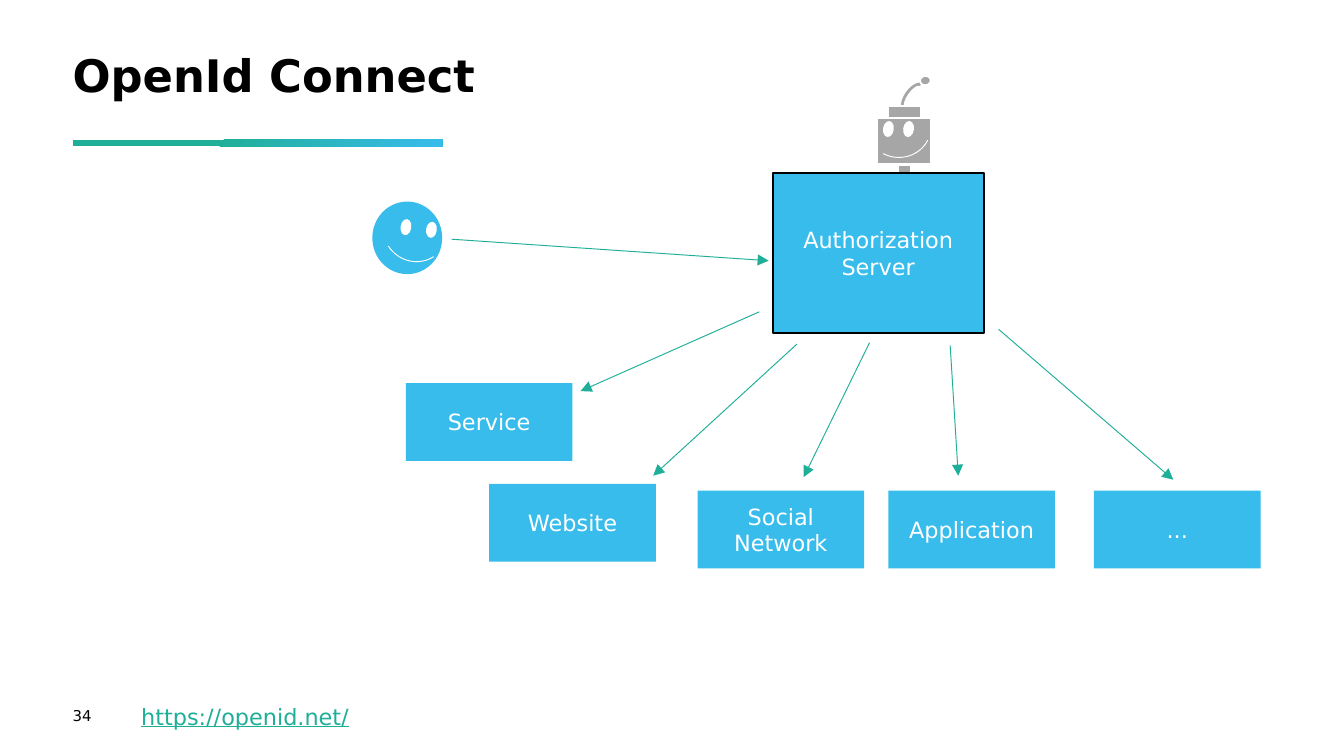
from lxml import etree
from pptx import Presentation
from pptx.dml.color import RGBColor
from pptx.enum.shapes import MSO_CONNECTOR, MSO_SHAPE
from pptx.enum.text import MSO_ANCHOR, PP_ALIGN
from pptx.oxml.ns import qn
from pptx.util import Inches, Pt

FONT = "DejaVu Sans"
COLORS = {
    "blue": "37BCEC", "green": "1FAF98", "gray": "A6A6A6",
    "black": "000000", "white": "FFFFFF",
}

# text, (left, top, width, height), size, color, bold, underline, anchor
TEXTS = [
    ("OpenId Connect", (0.54, 0.4, 8.9, 0.36), 24, "black", True, False, MSO_ANCHOR.TOP),
    ("34", (0.54, 5.26, 2.39, 0.13), 8, "black", False, False, MSO_ANCHOR.MIDDLE),
    ("https://openid.net/", (1.05, 5.23, 7.69, 0.2), 12, "green", False, True, MSO_ANCHOR.TOP),
]

# preset, (left, top, width, height), rotation, fill, (line color, width)
OVAL, ARC, RECT = MSO_SHAPE.OVAL, MSO_SHAPE.ARC, MSO_SHAPE.RECTANGLE
EYE = (0.12, 0.08)
SMILE = (0.48, 0.5)
THIN, EDGE = ("white", 0.5), ("white", 1)
USER = [
    (OVAL, (2.77, 1.5, 0.52, 0.54), 0, "blue", None),
    (ARC, (2.85, 1.45, *SMILE), 147, None, THIN),
    (OVAL, (3.15, 1.67, *EYE), 98, "white", None),
    (OVAL, (2.96, 1.65, *EYE), 98, "white", None),
]
ROBOT = [
    (RECT, (6.53, 0.88, 0.4, 0.34), 0, "gray", EDGE),
    (RECT, (6.68, 1.23, 0.1, 0.1), 0, "gray", EDGE),
    (ARC, (6.44, 0.68, *SMILE), 117, None, THIN),
    (OVAL, (6.55, 0.92, *EYE), 98, "white", None),
    (OVAL, (6.7, 0.92, *EYE), 98, "white", None),
    (MSO_SHAPE.BLOCK_ARC, (6.66, 0.65, 0.27, 0.15), 305, "gray", EDGE),
    (RECT, (6.61, 0.79, 0.24, 0.09), 0, "gray", EDGE),
    (OVAL, (6.85, 0.56, 0.07, 0.08), 81, "gray", EDGE),
]

SERVER = ("Authorization Server", (5.75, 1.29, 1.57, 1.19))
CLIENT_SIZE = (1.24, 0.58)
CLIENTS = [
    ("Service", (3.02, 2.85)),
    ("Social Network", (5.19, 3.65)),
    ("Website", (3.64, 3.6)),
    ("Application", (6.61, 3.65)),
    ("...", (8.14, 3.65)),
]
ARROWS = [
    ((3.36, 1.78), (5.72, 1.94)),
    ((5.65, 2.32), (4.32, 2.91)),
    ((5.93, 2.56), (4.86, 3.54)),
    ((6.47, 2.55), (5.98, 3.55)),
    ((7.07, 2.57), (7.13, 3.54)),
    ((7.43, 2.45), (8.73, 3.57)),
]


def rgb(name):
    return RGBColor.from_string(COLORS[name])


def inches(values):
    return [Inches(value) for value in values]


def style_text(frame, text, size, color, bold=False, underline=False):
    frame.word_wrap = True
    frame.text = text
    font = frame.paragraphs[0].runs[0].font
    font.name, font.size, font.bold = FONT, Pt(size), bold
    font.underline = underline
    font.color.rgb = rgb(color)


def add_text(slide, text, place, size, color, bold, underline, anchor):
    frame = slide.shapes.add_textbox(*inches(place)).text_frame
    frame.margin_left = frame.margin_top = frame.margin_right = frame.margin_bottom = 0
    frame.vertical_anchor = anchor
    style_text(frame, text, size, color, bold, underline)
    return frame


def add_shape(slide, preset, place, rotation=0, fill=None, line=None):
    shape = slide.shapes.add_shape(preset, *inches(place))
    shape.shadow.inherit = False
    shape.rotation = rotation
    if fill:
        shape.fill.solid()
        shape.fill.fore_color.rgb = rgb(fill)
    else:
        shape.fill.background()
    if line:
        color, width = line
        shape.line.color.rgb = rgb(color)
        shape.line.width = Pt(width)
    else:
        shape.line.fill.background()
    return shape


def add_box(slide, text, place, line=None):
    box = add_shape(slide, RECT, place, fill="blue", line=line)
    style_text(box.text_frame, text, 12, "white")
    box.text_frame.vertical_anchor = MSO_ANCHOR.MIDDLE
    box.text_frame.paragraphs[0].alignment = PP_ALIGN.CENTER


def add_arrow(slide, start, end):
    arrow = slide.shapes.add_connector(MSO_CONNECTOR.STRAIGHT, *inches(start + end))
    arrow.line.color.rgb = rgb("green")
    arrow.line.width = Pt(0.5)
    etree.SubElement(arrow.line._get_or_add_ln(), qn("a:tailEnd"), type="triangle")
    etree.SubElement(arrow._element.spPr, qn("a:effectLst"))


def add_title_rule(slide):
    rule = add_shape(slide, RECT, (0.54, 1.04, 2.75, 0.05))
    rule.fill.gradient()
    rule.fill.gradient_angle = 330
    stops = [(0.39, "green"), (1, "blue")]
    for stop, (position, color) in zip(rule.fill.gradient_stops, stops):
        stop.position = position
        stop.color.rgb = rgb(color)


def main():
    deck = Presentation()
    deck.slide_width = Inches(10)
    deck.slide_height = deck.slide_width * 9 // 16
    slide = deck.slides.add_slide(deck.slide_layouts[6])

    add_title_rule(slide)
    title, *_ = [add_text(slide, *text) for text in TEXTS]
    title.paragraphs[0].line_spacing = 0.9
    for part in USER + ROBOT:
        add_shape(slide, *part)
    add_box(slide, *SERVER, line=("black", 1))
    for name, corner in CLIENTS:
        add_box(slide, name, corner + CLIENT_SIZE)
    for start, end in ARROWS:
        add_arrow(slide, start, end)

    deck.save("out.pptx")


if __name__ == "__main__":
    main()
